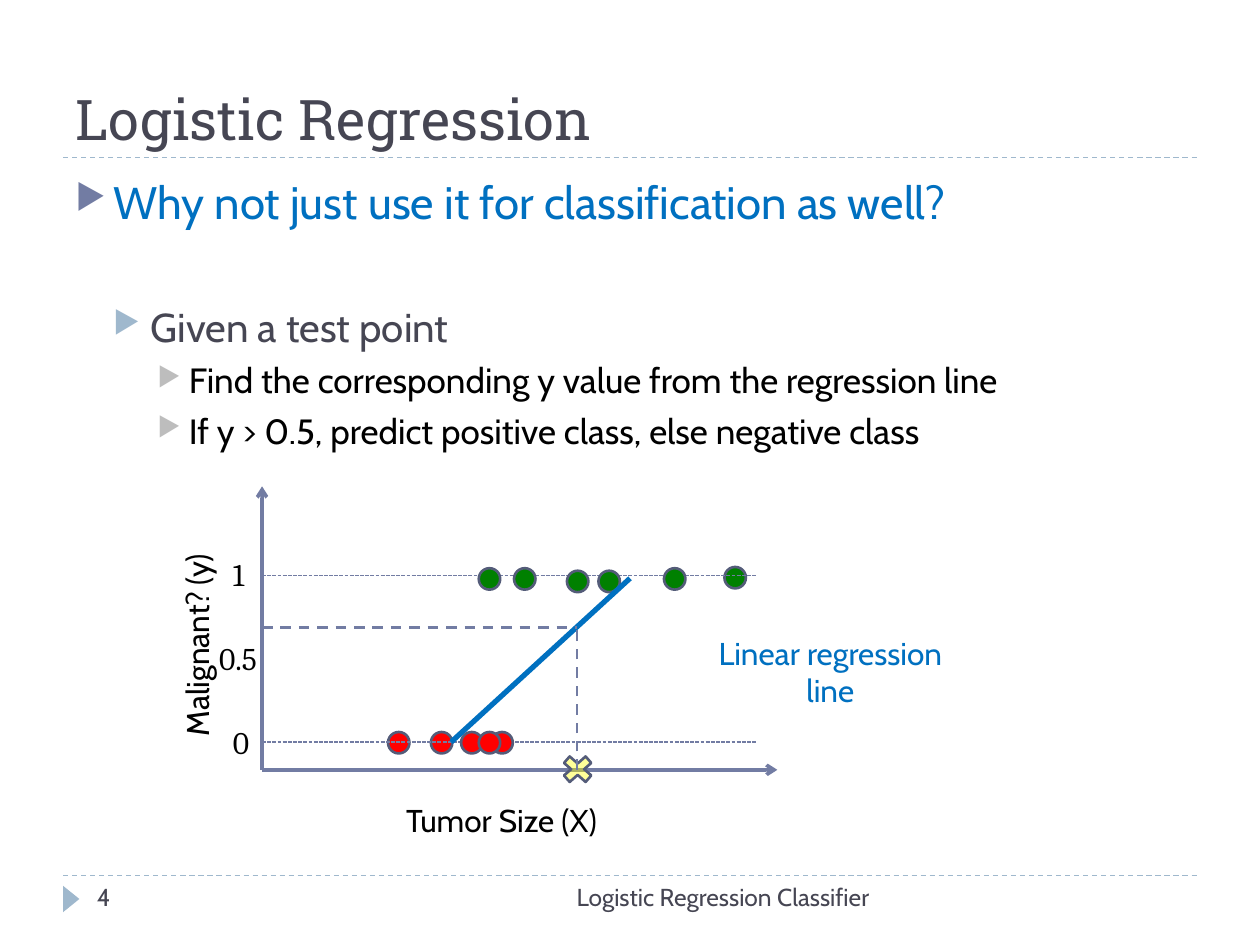
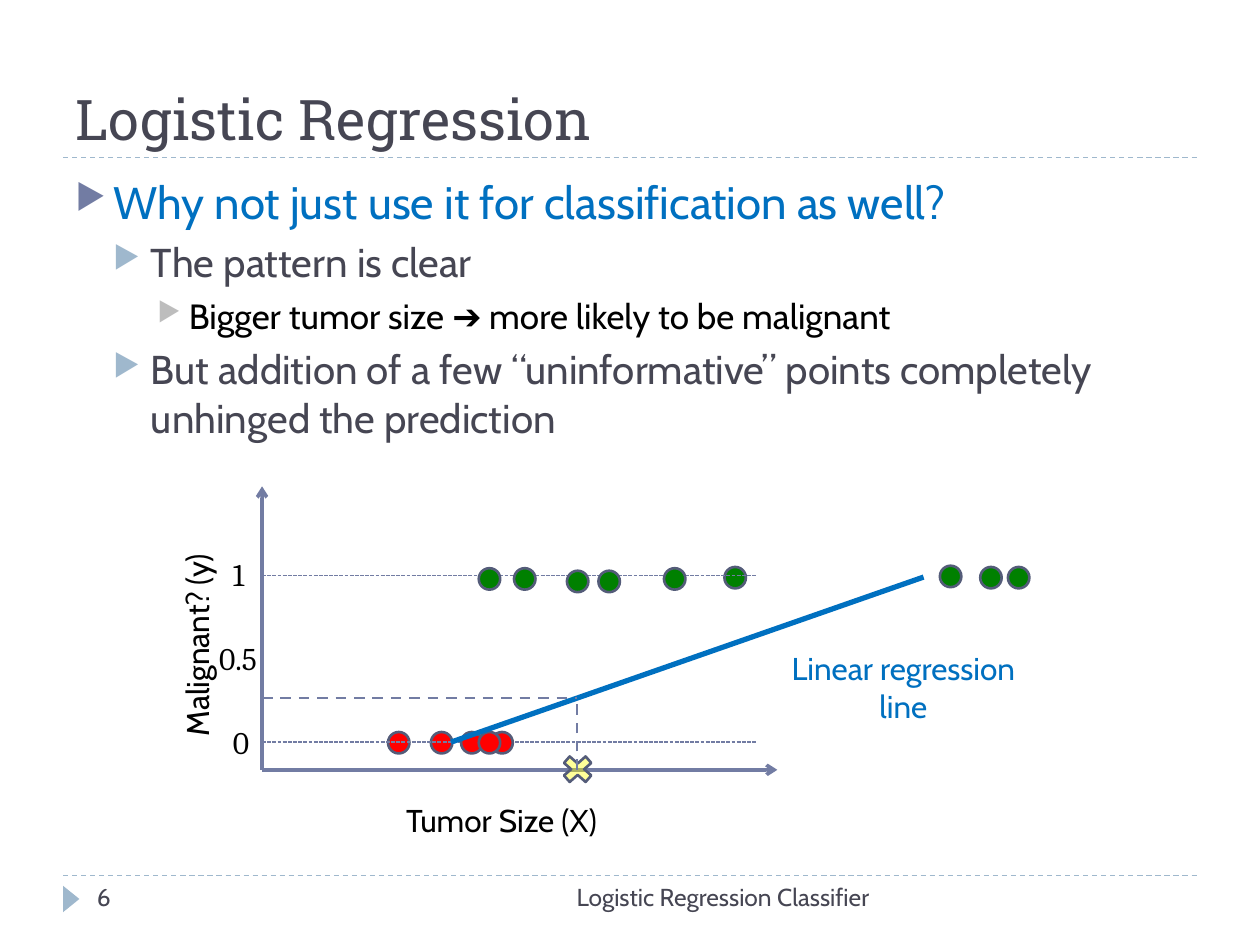
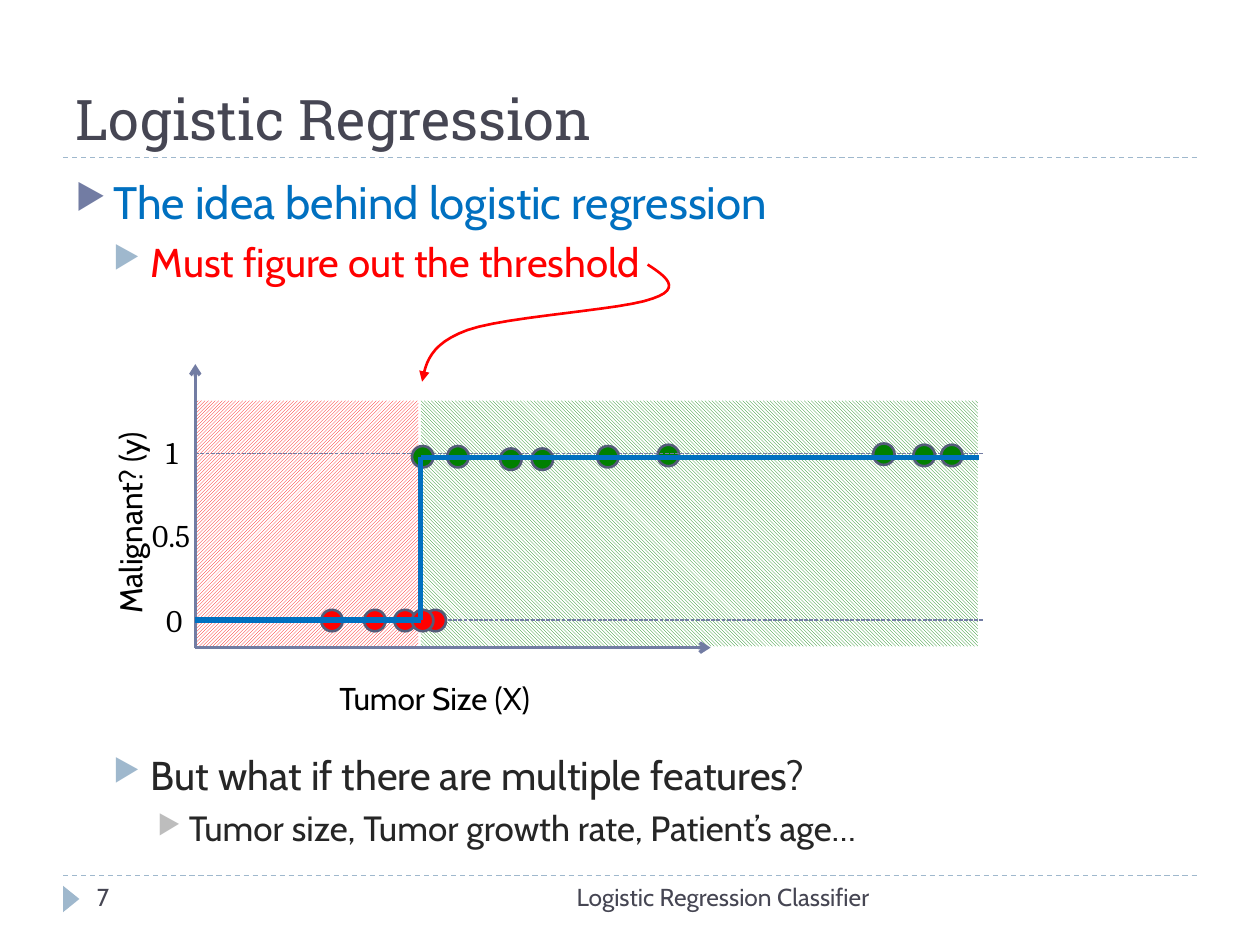
from lxml.etree import SubElement
from pptx import Presentation
from pptx.dml.color import RGBColor
from pptx.enum.dml import MSO_LINE as Dash, MSO_PATTERN as Pattern
from pptx.enum.shapes import MSO_CONNECTOR as Connector, MSO_SHAPE as Preset
from pptx.enum.text import MSO_ANCHOR as Anchor, PP_ALIGN as Align
from pptx.oxml.ns import qn
from pptx.util import Inches, Pt

COLORS = {
    "ink": "464653", "black": "000000", "dark": "262626", "blue": "0070C0",
    "red": "FF0000", "green": "008000", "yellow": "FFFF00", "white": "FFFFFF",
    "axis": "727CA3", "outline": "545C79", "pale": "9FB8CD", "grey": "BDBDBD",
}
TITLE = "Logistic Regression"
FOOTER = "Logistic Regression Classifier"
QUESTION = "Why not just use it for classification as well?"

LEVELS = [
    {"size": 26, "margin": 0.3, "hang": 0.3, "before": 6, "bullet": "axis"},
    {"size": 23, "margin": 0.6, "hang": 0.3, "before": 5, "bullet": "pale"},
    {"size": 20, "margin": 0.9, "hang": 0.25, "before": 5, "bullet": "grey"},
]

AXIS_WIDTH, AXIS_HEIGHT = 4.09, 2.25
ZERO, ONE = -0.22, -1.54
DOT = 0.17
TEST_X = 2.5
LINE_START = (1.5, ZERO)
MARKS = [
    ("red", 1, -0.3), ("red", 1.34, -0.3), ("guide", 0, ZERO),
    ("red", 1.58, -0.3), ("red", 1.82, -0.3),
    ("green", 3.67, -1.61), ("guide", 0, ONE),
    ("green", 1.72, -1.6), ("green", 2, -1.6), ("green", 2.42, -1.58),
    ("green", 2.67, -1.58), ("green", 3.19, -1.6), ("red", 1.72, -0.3),
]
FAR_MARKS = [("green", 5.38, -1.62), ("green", 5.7, -1.61), ("green", 5.92, -1.61)]
AXIS_TITLES = [
    ("Tumor Size (X)", 0.94, 0.2, 0),
    ("Malignant? (y)", -1.48, -1.19, 270),
]
TICKS = [("0", -0.33, -0.42, 0.33), ("1", -0.33, -1.75, 0.33), ("0.5", -0.44, -1.09, 0.61)]

SLIDES = [
    {
        "number": 4, "origin": (2.08, 6.11), "guide": 3.92, "far": [],
        "points": [
            (0, QUESTION, "blue", 6),
            (1, "Given a test point", "ink", 42),
            (2, "Find the corresponding y value from the regression line", "black", 5),
            (2, "If y > 0.5, predict positive class, else negative class", "black", 5),
        ],
        "fit": {"end": (2.92, -1.52), "label": (3.51, -1.13), "test_y": -1.13},
    },
    {
        "number": 6, "origin": (2.08, 6.11), "guide": 3.92, "far": FAR_MARKS,
        "points": [
            (0, QUESTION, "blue", 6),
            (1, "The pattern is clear", "ink", 5),
            (2, "Bigger tumor size ➔ more likely to be malignant", "black", 5),
            (1, "But addition of a few “uninformative” points completely "
                "unhinged the prediction", "ink", 5),
        ],
        "fit": {"end": (5.25, -1.53), "label": (4.09, -1.01), "test_y": -0.57},
    },
    {
        "number": 7, "origin": (1.55, 5.14), "guide": 6.25, "far": FAR_MARKS,
        "points": [
            (0, "The idea behind logistic regression", "blue", 6),
            (1, "Must figure out the threshold", "red", 5),
            (1, "But what if there are multiple features?", "dark", 265.5),
            (2, "Tumor size, Tumor growth rate, Patient’s age…", "dark", 5),
        ],
        "regions": [
            (1.79, 4.42, Pattern.LIGHT_DOWNWARD_DIAGONAL, "green"),
            (0, 1.77, Pattern.LIGHT_UPWARD_DIAGONAL, "red"),
        ],
        "steps": [(0, ZERO), (1.79, ZERO), (1.79, -1.51), (6.22, -1.51)],
        "arrow": [
            (5.14, 2.1),
            (5.28, 2.19), (5.42, 2.29), (5.18, 2.37),
            (4.95, 2.46), (4.02, 2.51), (3.71, 2.62),
            (3.41, 2.73), (3.38, 2.88), (3.35, 3.03),
        ],
    },
]


def rgb(name):
    return RGBColor.from_string(COLORS[name])


def apply(target, **values):
    for name, value in values.items():
        setattr(target, name, value)


def style_line(shape, color, width, dash=None, head=None):
    shape.line.color.rgb = rgb(color)
    apply(shape.line, width=Pt(width), dash_style=dash)
    if head:
        SubElement(shape.element.spPr.find(qn("a:ln")), qn("a:tailEnd"), type=head)


def add_line(slide, start, end, color, width, dash=None, head=None):
    line = slide.shapes.add_connector(Connector.STRAIGHT, *map(Inches, (*start, *end)))
    style_line(line, color, width, dash, head)
    SubElement(line.element.spPr, qn("a:effectLst"))


def add_preset(slide, preset, box, color, outline=None):
    shape = slide.shapes.add_shape(preset, *map(Inches, box))
    shape.shadow.inherit = False
    shape.fill.solid()
    shape.fill.fore_color.rgb = rgb(color)
    if outline:
        style_line(shape, outline, 1.5)
    else:
        shape.line.fill.background()
    return shape


def write(paragraph, text, size, color, font="Cabin", align=Align.LEFT):
    paragraph.alignment = align
    run = paragraph.add_run()
    run.text = text
    apply(run.font, name=font, size=Pt(size))
    run.font.color.rgb = rgb(color)


def add_text(slide, box, text, size, color, font="Cabin", align=Align.LEFT,
             anchor=Anchor.TOP, rotation=0):
    label = slide.shapes.add_textbox(*map(Inches, box))
    label.rotation = rotation
    apply(label.text_frame, word_wrap=True, vertical_anchor=anchor)
    write(label.text_frame.paragraphs[0], text, size, color, font, align)


def add_frame(slide, number):
    for y in (6.95, 1.25):
        add_line(slide, (0.5, y), (9.5, y), "pale", 0.75, Dash.DASH)
    marker = add_preset(slide, Preset.ISOSCELES_TRIANGLE, (0.46, 7.07, 0.21, 0.13), "pale")
    marker.rotation = 90
    add_text(slide, (0.5, 0.17, 9, 1.08), TITLE, 32, "ink", "Roboto Slab", anchor=Anchor.BOTTOM)
    add_text(slide, (3.17, 6.95, 3.83, 0.4), FOOTER, 14, "ink", align=Align.RIGHT)
    add_text(slide, (0.67, 6.95, 2.17, 0.4), str(number), 14, "ink")


def add_points(slide, points):
    body = slide.shapes.add_textbox(*map(Inches, (0.5, 1.33, 9, 5.4))).text_frame
    body.word_wrap = True
    for index, (depth, text, color, before) in enumerate(points):
        level = LEVELS[depth]
        paragraph = body.add_paragraph() if index else body.paragraphs[0]
        write(paragraph, text, level["size"], color)
        apply(paragraph, level=depth, space_before=Pt(before))
        props = paragraph._p.get_or_add_pPr()
        props.set("marL", str(Inches(level["margin"])))
        props.set("indent", str(-Inches(level["hang"])))
        bullet_color = SubElement(props, qn("a:buClr"))
        SubElement(bullet_color, qn("a:srgbClr"), val=COLORS[level["bullet"]])
        SubElement(props, qn("a:buSzPct"), val="76000")
        SubElement(props, qn("a:buChar"), char="▶")


def add_regions(slide, regions, at):
    for x, width, pattern, color in regions:
        region = add_preset(slide, Preset.RECTANGLE, (*at(x, -1.96), width, 1.95), color)
        region.fill.patterned()
        region.fill.pattern = pattern
        region.fill.fore_color.rgb = rgb(color)
        region.fill.back_color.rgb = rgb("white")


def add_plot(slide, guide, far, at):
    for end in ((AXIS_WIDTH, 0), (0, -AXIS_HEIGHT)):
        add_line(slide, at(0, 0), at(*end), "axis", 2, head="arrow")
    for text, x, y, rotation in AXIS_TITLES:
        add_text(slide, (*at(x, y), 1.92, 0.4), text, 18, "black",
                 align=Align.CENTER, rotation=rotation)
    for text, x, y, width in TICKS:
        add_text(slide, (*at(x, y), width, 0.4), text, 18, "black", "Cambria")
    for kind, x, y in MARKS + far:
        if kind == "guide":
            add_line(slide, at(x, y), at(guide, y), "axis", 0.75, Dash.SQUARE_DOT)
        else:
            add_preset(slide, Preset.OVAL, (*at(x, y), DOT, DOT), kind, "outline")


def add_fit(slide, fit, at):
    add_line(slide, at(*LINE_START), at(*fit["end"]), "blue", 3)
    add_text(slide, (*at(*fit["label"]), 2, 0.71), "Linear regression line", 18, "blue",
             align=Align.CENTER)
    test_point = add_preset(slide, Preset.MATH_MULTIPLY,
                            (*at(TEST_X - 0.16, -0.15), 0.33, 0.29), "yellow", "outline")
    fill_color = test_point.element.spPr.find(qn("a:solidFill"))[0]
    SubElement(fill_color, qn("a:alpha"), val="40000")
    corner = at(TEST_X, fit["test_y"])
    for start in (at(TEST_X, 0), at(0, fit["test_y"])):
        add_line(slide, start, corner, "axis", 1.5, Dash.DASH)


def curve_points(controls, steps=12):
    for first in range(0, len(controls) - 1, 3):
        a, b, c, d = controls[first:first + 4]
        for step in range(1, steps + 1):
            t = step / steps
            u = 1 - t
            weights = (u ** 3, 3 * u * u * t, 3 * u * t * t, t ** 3)
            yield tuple(Inches(sum(w * v for w, v in zip(weights, values)))
                        for values in zip(a, b, c, d))


def add_threshold(slide, steps, arrow, at):
    for start, end in zip(steps, steps[1:]):
        add_line(slide, at(*start), at(*end), "blue", 3)
    builder = slide.shapes.build_freeform(*map(Inches, arrow[0]))
    builder.add_line_segments(list(curve_points(arrow)), close=False)
    pointer = builder.convert_to_shape()
    pointer.shadow.inherit = False
    pointer.fill.background()
    style_line(pointer, "red", 1.5, head="triangle")


deck = Presentation()
apply(deck, slide_width=Inches(10), slide_height=Inches(7.5))
for content in SLIDES:
    slide = deck.slides.add_slide(deck.slide_layouts[6])
    left, base = content["origin"]

    def at(x, y):
        return left + x, base + y

    add_regions(slide, content.get("regions", []), at)
    add_frame(slide, content["number"])
    add_points(slide, content["points"])
    add_plot(slide, content["guide"], content["far"], at)
    if "fit" in content:
        add_fit(slide, content["fit"], at)
    else:
        add_threshold(slide, content["steps"], content["arrow"], at)
deck.save("out.pptx")
